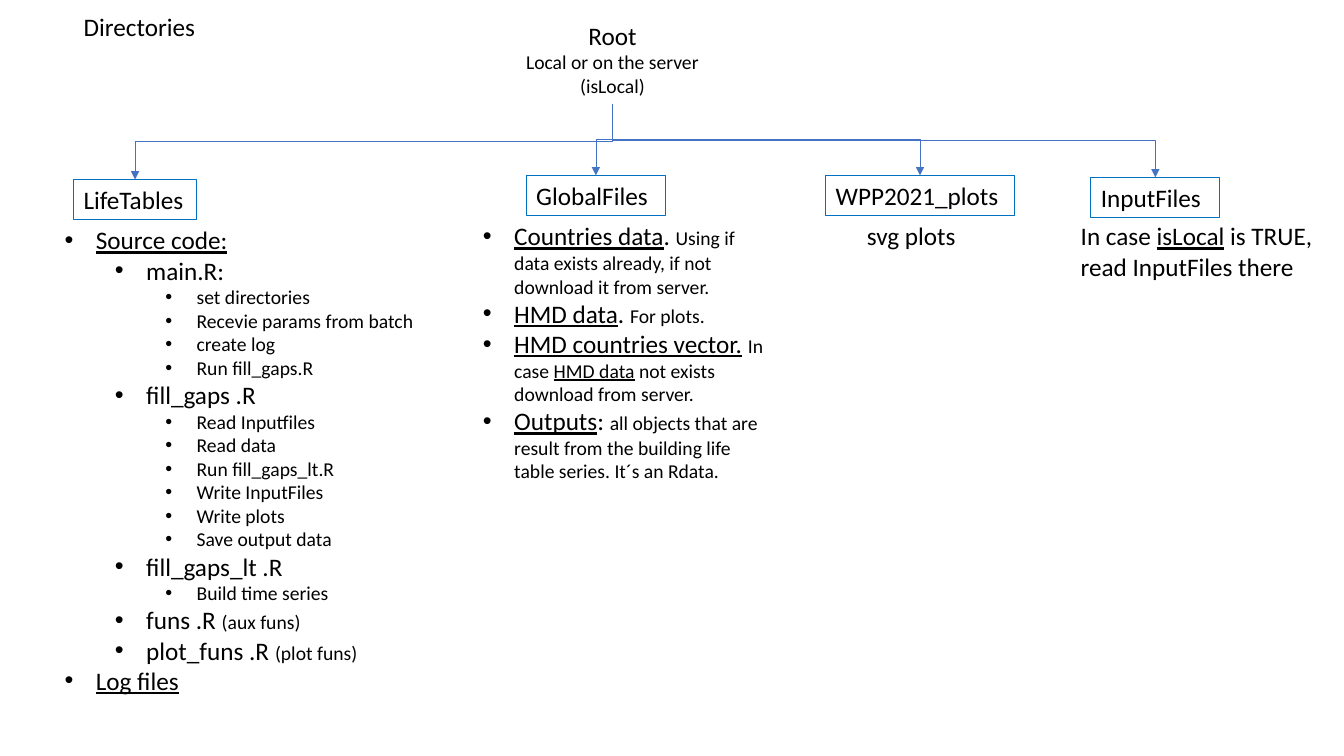
"""Build the slide that maps the project's directories."""
from pptx import Presentation
from pptx.dml.color import RGBColor
from pptx.enum import shapes, text
from pptx.oxml import ns, xmlchemy as xc
from pptx.util import Inches, Pt

STYLES = {"big": (18, False), "mark": (18, True),
          "small": (14, False), "link": (14, True)}
TITLE = [(0, [("Directories", "big")])]
ROOT = [(0, [("Root", "big")]),
        (0, [("Local or on the server", "small")]),
        (0, [("(isLocal)", "small")])]
FOLDERS = [("LifeTables", 0.73, 1.78, 1.22), ("GlobalFiles", 5.22, 1.74, 1.38),
           ("WPP2021_plots", 8.19, 1.74, 1.87), ("InputFiles", 10.82, 1.76, 1.28)]
FILES = [
    ("main.R: ", "", ["set directories", "Recevie params from batch",
                      "create log", "Run fill_gaps.R"]),
    ("fill_gaps .R", "", ["Read Inputfiles", "Read data", "Run fill_gaps_lt.R",
                          "Write InputFiles", "Write plots", "Save output data"]),
    ("fill_gaps_lt .R", "", ["Build time series"]),
    ("funs .R ", "(aux funs)", []),
    ("plot_funs .R ", "(plot funs)", []),
]
DATA = [
    (0, [("Countries data", "mark"), (". ", "big"),
         ("Using if data exists already, if not download it from server.", "small")]),
    (0, [("HMD data", "mark"), (". ", "big"), ("For plots.", "small")]),
    (0, [("HMD countries vector.", "mark"), (" ", "big"), ("In case ", "small"),
         ("HMD data", "link"), (" not exists download from server.", "small")]),
    (0, [("Outputs", "mark"), (": ", "big"),
         ("all objects that are result from the building life table series. "
          "It´s an Rdata.", "small")]),
]
PLOTS = [(0, [("svg plots", "big")])]
INPUTS = [(0, [("In case ", "big"), ("isLocal", "mark"),
               (" is TRUE, read InputFiles there", "big")])]
ROOT_AT = (4.55, 0.15, 3.05, 0.88)
BOX_H = 0.4


def color(code):
    return RGBColor.from_string(code)


def outline(files):
    rows = [(0, [("Source code:", "mark")])]
    for name, note, steps in files:
        runs = [(name, "big")] + ([(note, "small")] if note else [])
        rows.append((1, runs))
        rows += [(2, [(step, "small")]) for step in steps]
    return rows + [(0, [("Log files", "mark")])]


def child(parent, tag, **attrs):
    node = xc.OxmlElement(tag)
    for key, value in attrs.items():
        node.set(key, value)
    parent.append(node)


def write(shape, at, rows, align=text.PP_ALIGN.LEFT, bullets=False,
          fit=text.MSO_AUTO_SIZE.NONE):
    for key, value in zip(("left", "top", "width", "height"), at):
        setattr(shape, key, Inches(value))
    frame = shape.text_frame
    look = {"word_wrap": True, "auto_size": fit, "vertical_anchor": text.MSO_ANCHOR.TOP,
            "margin_left": Inches(0.1), "margin_right": Inches(0.1),
            "margin_top": Inches(0.05), "margin_bottom": Inches(0.05)}
    for key, value in look.items():
        setattr(frame, key, value)
    for i, (level, runs) in enumerate(rows):
        para = frame.add_paragraph() if i else frame.paragraphs[0]
        form = {"level": level, "alignment": align, "space_before": Pt(0),
                "space_after": Pt(0), "line_spacing": 1.0}
        for key, value in form.items():
            setattr(para, key, value)
        if bullets:
            props = para._p.get_or_add_pPr()
            props.set("marL", str(Inches(0.31 + 0.5 * level)))
            props.set("indent", str(Inches(-0.31)))
            child(props, "a:buFont", typeface="Arial")
            child(props, "a:buChar", char="•")
        for words, style in runs:
            run = para.add_run()
            run.text = words
            size, under = STYLES[style]
            font = {"name": "Calibri", "size": Pt(size), "underline": under}
            for key, value in font.items():
                setattr(run.font, key, value)
            run.font.color.rgb = color("000000")


def label(at, rows, **kind):
    box = slide.shapes.add_textbox(0, 0, 0, 0)
    write(box, at, rows, fit=text.MSO_AUTO_SIZE.SHAPE_TO_FIT_TEXT, **kind)
    return box


def branch(x1, y1, x2, y2):
    side = 1 if x2 > x1 else -1
    mid_x, mid_y = (x1 + x2) / 2, (y1 + y2) / 2
    half_w, half_h = (y2 - y1) / 2, abs(x2 - x1) / 2
    ends = (mid_x + side * half_w, mid_y - half_h, mid_x - side * half_w, mid_y + half_h)
    arrow = slide.shapes.add_connector(shapes.MSO_CONNECTOR.ELBOW, *map(Inches, ends))
    arrow.line.color.rgb = color("4472C4")
    arrow.line.width = Pt(0.5)
    props = arrow._element.spPr
    turn = 270 if side > 0 else 90
    props.find(ns.qn("a:xfrm")).set("rot", str(turn * 60000))
    child(arrow.line._get_or_add_ln(), "a:tailEnd", type="triangle")
    child(props, "a:effectLst")


deck = Presentation()
deck.slide_width, deck.slide_height = Inches(13.33), Inches(7.5)
slide = deck.slides.add_slide(deck.slide_layouts[3])
title, code, data = list(slide.placeholders)[:3]
write(title, (0.73, 0.06, 3.75, 0.4), TITLE)
write(code, (0.54, 2.18, 3.7, 4.81), outline(FILES), bullets=True)
write(data, (4.69, 2.14, 3.04, 3.03), DATA, bullets=True)
label(ROOT_AT, ROOT, align=text.PP_ALIGN.CENTER)
label((8.5, 2.14, 2.11, BOX_H), PLOTS)
label((10.62, 2.14, 2.51, 0.71), INPUTS)

left, top, width, height = ROOT_AT
for name, x, y, w in FOLDERS:
    box = label((x, y, w, BOX_H), [(0, [(name, "big")])])
    box.line.color.rgb = color("0070C0")
    box.line.width = Pt(0.75)
    branch(left + width / 2, top + height, x + w / 2, y)

deck.save("out.pptx")
